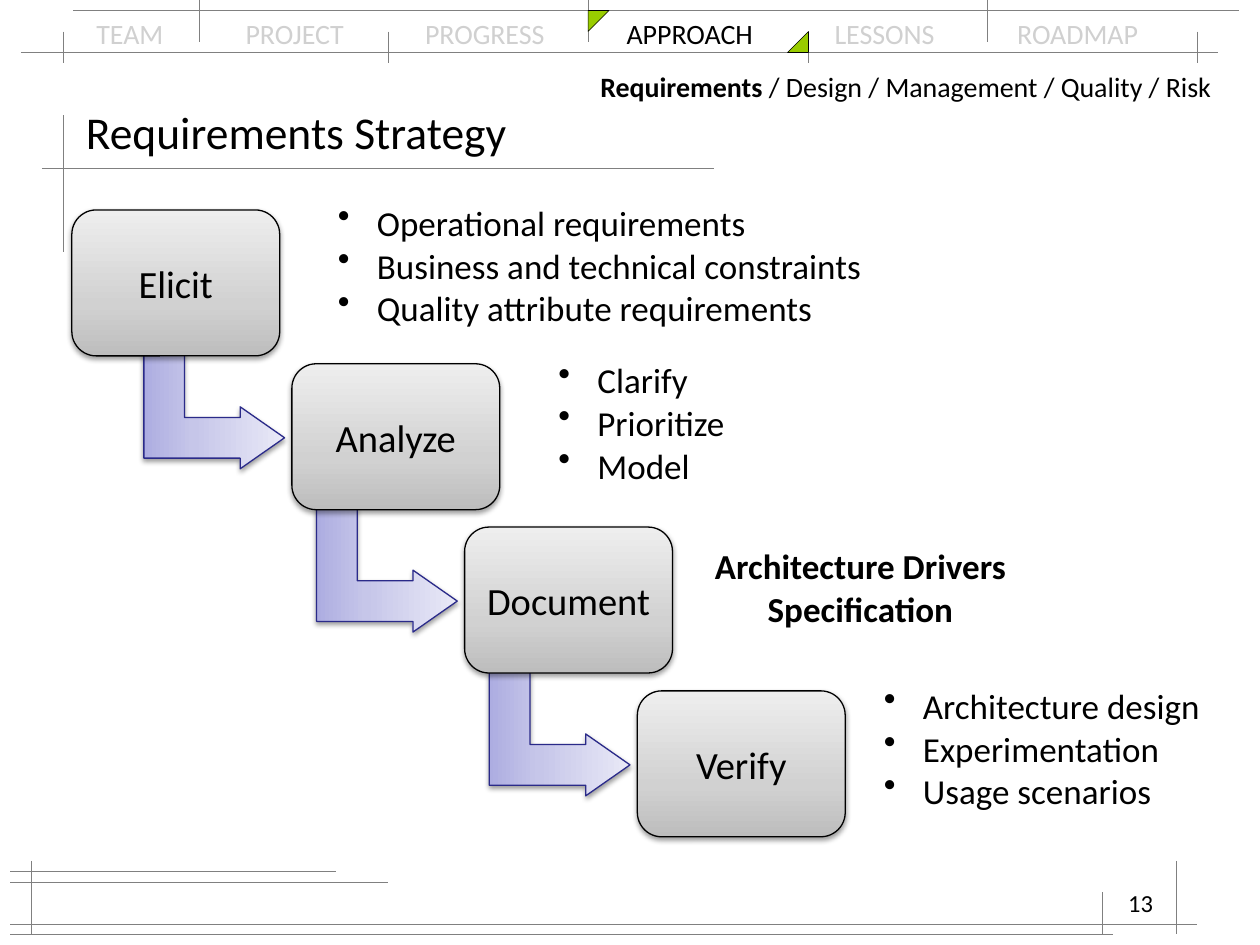
from typing import NamedTuple

from lxml import etree
from pptx import Presentation
from pptx.dml.color import RGBColor
from pptx.enum.shapes import MSO_CONNECTOR, MSO_SHAPE
from pptx.enum.text import MSO_ANCHOR, PP_ALIGN
from pptx.oxml import parse_xml
from pptx.oxml.ns import nsdecls, qn
from pptx.util import Emu, Inches, Pt

LEFT, MID, RIGHT = PP_ALIGN.LEFT, PP_ALIGN.CENTER, PP_ALIGN.RIGHT
TOP, CENTER = MSO_ANCHOR.TOP, MSO_ANCHOR.MIDDLE
ROUND, BENT = MSO_SHAPE.ROUNDED_RECTANGLE, MSO_SHAPE.BENT_UP_ARROW
CORNER, STRAIGHT = MSO_SHAPE.RIGHT_TRIANGLE, MSO_CONNECTOR.STRAIGHT

HEX = {"ink": "000000", "dim": "D0D0D0", "rule": "808080",
       "green": "99CC00", "edge": "2A2A89"}
GRAY = ("BDBDBD", "D1D1D1", "EEEEEE")
LILAC = ("ADADE1", "C6C6E9", "E9E9F7")

# The slide is a grid of 120 columns by 90 rows
WIDE, HIGH = Inches(10), Inches(7.5)
CELL = WIDE / 120


class Box(NamedTuple):
    x: float
    y: float
    w: float
    h: float


class Step(NamedTuple):
    name: str
    x: float
    y: float


class Note(NamedTuple):
    box: Box
    lines: list[str]
    bullet: bool = True


RULES = [
    (2, 5, 116, 5), (7, 1, 118, 1), (6, 11, 6, 24), (4, 16, 68, 16),
    (1, 84, 37, 84), (1, 88, 114, 88), (3, 82, 3, 89), (1, 83, 32, 83),
    (1, 89, 106, 89), (112, 82, 112, 89), (105, 85, 105, 89),
    *[(x, 3, x, 6) for x in (6, 37, 77, 114)],
    *[(x, 0, x, 4) for x in (19, 56, 94)],
]
TABS = [14.2, 31.3, 50.5, 70.3, 87.7]
STEPS = [Step("Elicit", 6.84, 20), Step("Analyze", 27.8, 34.65),
         Step("Document", 44.25, 50.2), Step("Verify", 60.7, 65.8)]
NOTES = [
    Note(Box(31, 20, 53, 12.8), ["Operational requirements",
                                 "Business and technical constraints",
                                 "Quality attribute requirements"]),
    Note(Box(52, 35, 19, 12.8), ["Clarify", "Prioritize", "Model"]),
    Note(Box(66.6, 52.7, 30.7, 8.4),
         ["Architecture Drivers", "Specification"], False),
    Note(Box(83, 66, 33, 12.8), ["Architecture design", "Experimentation",
                                 "Usage scenarios"]),
]

deck = Presentation()
deck.slide_width, deck.slide_height = WIDE, HIGH
shapes = deck.slides.add_slide(deck.slide_layouts[6]).shapes


def cells(*spans: float) -> list[Emu]:
    return [Emu(round(span * CELL)) for span in spans]


def color(name: str) -> RGBColor:
    return RGBColor.from_string(HEX[name])


def write(para, text: str, size=16, ink="ink", bold=False) -> None:
    run = para.add_run()
    run.text = text
    font = run.font
    font.name, font.size, font.bold = "Calibri", Pt(size), bold
    font.color.rgb = color(ink)


def frame(box: Box, align=LEFT, anchor=TOP):
    text = shapes.add_textbox(*cells(*box)).text_frame
    text.word_wrap = True
    text.vertical_anchor = anchor
    text.paragraphs[0].alignment = align
    return text


def rule(x1: float, y1: float, x2: float, y2: float) -> None:
    line = shapes.add_connector(STRAIGHT, *cells(x1, y1, x2, y2))
    line.line.color.rgb = color("rule")
    line.line.width = Pt(0.3)
    etree.SubElement(line._element.spPr, qn("a:effectLst"))


def corner(x: float, y: float, turn: int) -> None:
    mark = shapes.add_shape(CORNER, *cells(x, y, 2, 2))
    mark.rotation = turn
    mark.shadow.inherit = False
    mark.fill.solid()
    mark.fill.fore_color.rgb = color("green")
    mark.line.color.rgb = color("ink")
    mark.line.width = Pt(0.3)


def block(kind, box: Box, tones: tuple, edge: str, adjust: tuple):
    """Draw a shape with an upward gradient and a soft shadow."""
    shape = shapes.add_shape(kind, *cells(*box))
    for i, value in enumerate(adjust):
        shape.adjustments[i] = value
    stops = "".join(f'<a:gs pos="{pos}"><a:srgbClr val="{tone}"/></a:gs>'
                    for pos, tone in zip((0, 35000, 100000), tones))
    props = shape._element.spPr
    props.insert(2, parse_xml(
        f'<a:gradFill {nsdecls("a")} rotWithShape="1"><a:gsLst>{stops}'
        '</a:gsLst><a:lin ang="16200000" scaled="0"/></a:gradFill>'))
    shape.line.color.rgb = color(edge)
    shape.line.width = Pt(0.75)
    props.append(parse_xml(
        f'<a:effectLst {nsdecls("a")}><a:outerShdw blurRad="{Pt(3.1)}" '
        f'dist="{Pt(1.6)}" dir="5400000" rotWithShape="0">'
        '<a:srgbClr val="000000"><a:alpha val="38000"/></a:srgbClr>'
        '</a:outerShdw></a:effectLst>'))
    return shape


def bullet(para) -> None:
    props = para._p.get_or_add_pPr()
    dent = Inches(0.31)
    props.set("marL", str(dent))
    props.set("indent", str(-dent))
    etree.SubElement(props, qn("a:buChar"), char="•")


def note(item: Note) -> None:
    text = frame(item.box)
    for i, line in enumerate(item.lines):
        para = text.add_paragraph() if i else text.paragraphs[0]
        para.line_spacing = 0.6
        if i:
            para.space_before = Pt(10)
        if item.bullet:
            bullet(para)
        else:
            para.alignment = MID
        write(para, line, size=20, bold=not item.bullet)


# Section bar
bar = frame(Box(8, 1, 104, 4.4)).paragraphs[0]
stops = etree.SubElement(bar._p.get_or_add_pPr(), qn("a:tabLst"))
for stop in cells(*TABS):
    etree.SubElement(stops, qn("a:tab"), pos=str(stop), algn="l")
write(bar, "TEAM\tPROJECT\tPROGRESS\t", ink="dim")
write(bar, "APPROACH")
write(bar, "\tLESSONS\tROADMAP", ink="dim")

# Thin rules and the marks of the current section
for ends in RULES:
    rule(*ends)
corner(56, 1, 90)
corner(75, 3, 270)

# Title
write(frame(Box(7, 9, 106, 7), anchor=CENTER).paragraphs[0],
      "Requirements Strategy", size=26)

# Staircase: each arrow is placed from the step it points to
for i, step in enumerate(STEPS):
    if i + 1 < len(STEPS):
        goal = STEPS[i + 1]
        arrow = block(BENT, Box(goal.x - 13.3, goal.y - 2.6, 11.8, 13.4),
                      LILAC, "edge", (0.328, 0.25, 0.358))
        arrow.rotation = 90
    label = block(ROUND, Box(step.x, step.y, 19.8, 13.9),
                  GRAY, "ink", (0.167,)).text_frame
    label.vertical_anchor = CENTER
    label.paragraphs[0].alignment = MID
    write(label.paragraphs[0], step.name, size=22)

# Notes beside the steps
for item in NOTES:
    note(item)

# Page number and subsection trail
write(frame(Box(86, 84, 25, 6), align=RIGHT).paragraphs[0], "13", size=14)
trail = frame(Box(56, 6, 62, 4.4)).paragraphs[0]
write(trail, "Requirements ", bold=True)
write(trail, "/ Design / Management / Quality / Risk")

deck.save("out.pptx")
